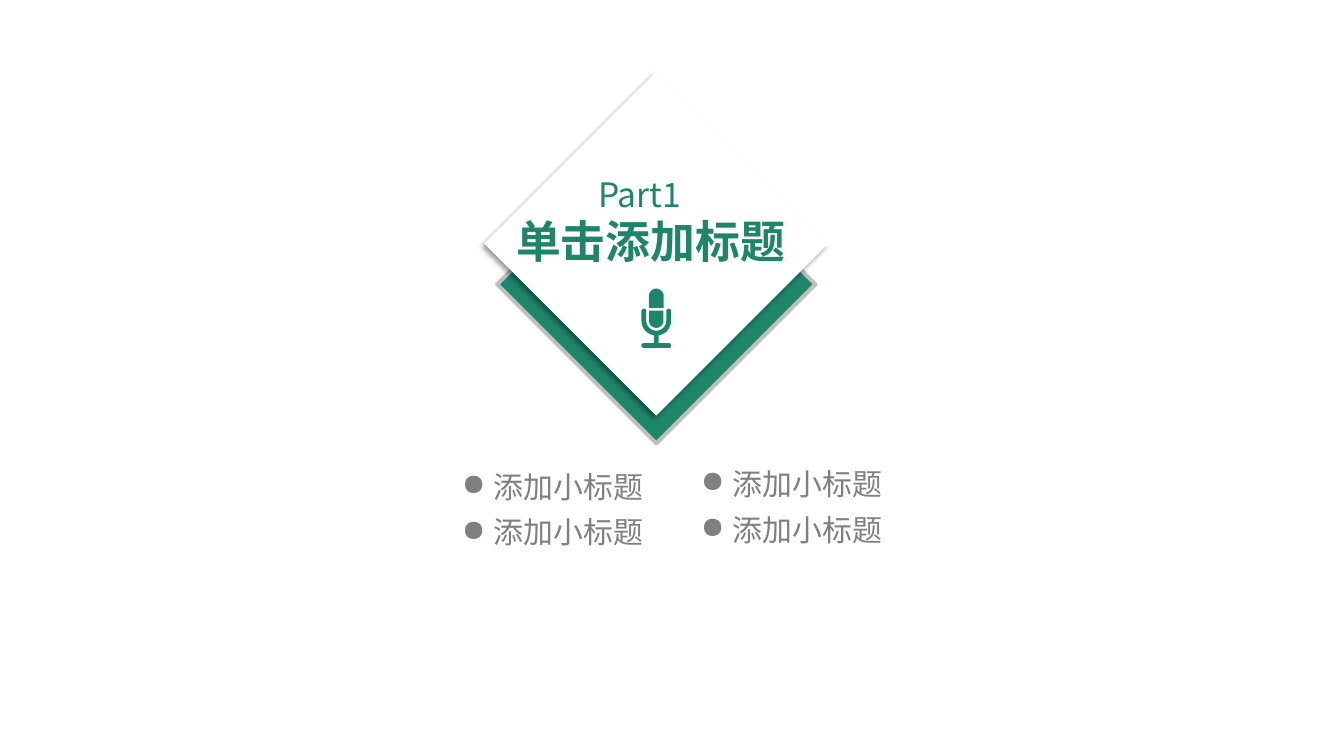
from math import cos, radians, sin

from lxml import etree
from pptx import Presentation
from pptx.dml.color import RGBColor
from pptx.enum.shapes import MSO_SHAPE
from pptx.enum.text import MSO_AUTO_SIZE, PP_ALIGN
from pptx.oxml.ns import qn
from pptx.util import Inches, Pt

DIAMOND = MSO_SHAPE.DIAMOND
GROW = MSO_AUTO_SIZE.SHAPE_TO_FIT_TEXT
CENTER = PP_ALIGN.CENTER

GREEN = RGBColor(0x1D, 0x85, 0x6A)
WHITE = RGBColor(0xFF, 0xFF, 0xFF)
SILVER = RGBColor(0xBF, 0xBF, 0xBF)
GREY = RGBColor(0x80, 0x80, 0x80)
FONT = "Noto Sans CJK SC"

W, H = Inches(14.06), Inches(7.91)
AXIS = 48.83  # centre line of the emblem, percent of the width


def across(percent):
    return round(W * percent / 100)


def down(percent):
    return round(H * percent / 100)


def add_diamond(s, top, size, color):
    """Square diamond on the axis; size in percent of the width."""
    sp = s.shapes.add_shape(DIAMOND, across(AXIS - size / 2), down(top),
                            across(size), across(size))
    sp.shadow.inherit = False
    sp.fill.solid()
    sp.fill.fore_color.rgb = color
    sp.line.fill.background()
    return sp


def add_shadow(sp, blur, distance, angle, opacity):
    effects = sp._element.spPr.find(qn("a:effectLst"))
    shadow = etree.SubElement(effects, qn("a:outerShdw"), blurRad=str(Pt(blur)),
                              dist=str(Pt(distance)), dir=str(angle * 60000),
                              algn="tr", rotWithShape="0")
    color = etree.SubElement(shadow, qn("a:srgbClr"), val="000000")
    etree.SubElement(color, qn("a:alpha"), val=str(opacity * 1000))


def add_text(s, box, text, size, color, bold=False, wrap=False):
    """Text box; box is left, top, width, height in percent of the slide."""
    left, top, width, height = box
    sp = s.shapes.add_textbox(across(left), down(top), across(width), down(height))
    tf = sp.text_frame
    tf.word_wrap = wrap
    tf.auto_size = GROW
    tf.text = text
    p = tf.paragraphs[0]
    font = p.runs[0].font
    font.name, font.size, font.bold = FONT, Pt(size), bold
    font.color.rgb = color
    etree.SubElement(p.runs[0]._r.get_or_add_rPr(), qn("a:ea"), typeface=FONT)
    return p


def add_bullet(p):
    p.alignment = CENTER
    pPr = p._p.get_or_add_pPr()
    pPr.set("marL", str(Inches(0.33)))
    pPr.set("indent", str(-Inches(0.33)))
    etree.SubElement(pPr, qn("a:buChar"), char="●")


def arc(x, y, radius, start, end, steps=16):
    """Points on a circle from start to end, in degrees clockwise."""
    angles = [radians(start + (end - start) * i / steps) for i in range(steps + 1)]
    return [(x + radius * cos(a), y + radius * sin(a)) for a in angles]


def add_microphone(s, top):
    head = arc(0, 77, 77, 180, 360) + [(77, 200), (-77, 200)]
    body = [(-75, 230)] + arc(0, 335, 75, 180, 0) + [(75, 230)]
    stand = (arc(-130, 235, 25, 180, 360) + arc(0, 335, 105, 180, 0)
             + arc(130, 235, 25, 180, 360) + arc(0, 335, 155, 0, 81)
             + [(25, 570)] + arc(130, 595, 25, 270, 450)
             + arc(-130, 595, 25, 90, 270) + [(-25, 570)]
             + arc(0, 335, 155, 99, 180))
    builder = s.shapes.build_freeform(*head[0], scale=W / 14060)
    builder.add_line_segments(head[1:])
    for outline in (body, stand):
        builder.move_to(*outline[0])
        builder.add_line_segments(outline[1:])
    sp = builder.convert_to_shape(across(AXIS), down(top))
    sp.shadow.inherit = False
    sp.fill.solid()
    sp.fill.fore_color.rgb = GREEN
    sp.line.fill.background()


def main():
    prs = Presentation()
    prs.slide_width, prs.slide_height = W, H
    s = prs.slides.add_slide(prs.slide_layouts[6])

    back = add_diamond(s, 16.56, 23.68, GREEN)
    back.line.color.rgb = SILVER
    back.line.width = Pt(3)
    front = add_diamond(s, 9.48, 25.6, WHITE)
    add_shadow(front, blur=4, distance=3, angle=135, opacity=40)

    add_text(s, (43.81, 22.38, 9.96, 6.7), "Part1", 25.3, GREEN, wrap=True)
    add_text(s, (37.7, 27.69, 21.62, 8.47), "单击添加标题", 33.8, GREEN, bold=True)
    add_microphone(s, 38.18)

    for row in range(2):
        for left, top in ((33.57, 61.31), (51.35, 60.94)):
            box = (left, top + row * 6.07, 15.08, 6.19)
            add_bullet(add_text(s, box, "添加小标题", 22.5, GREY))

    prs.save("out.pptx")


if __name__ == "__main__":
    main()
